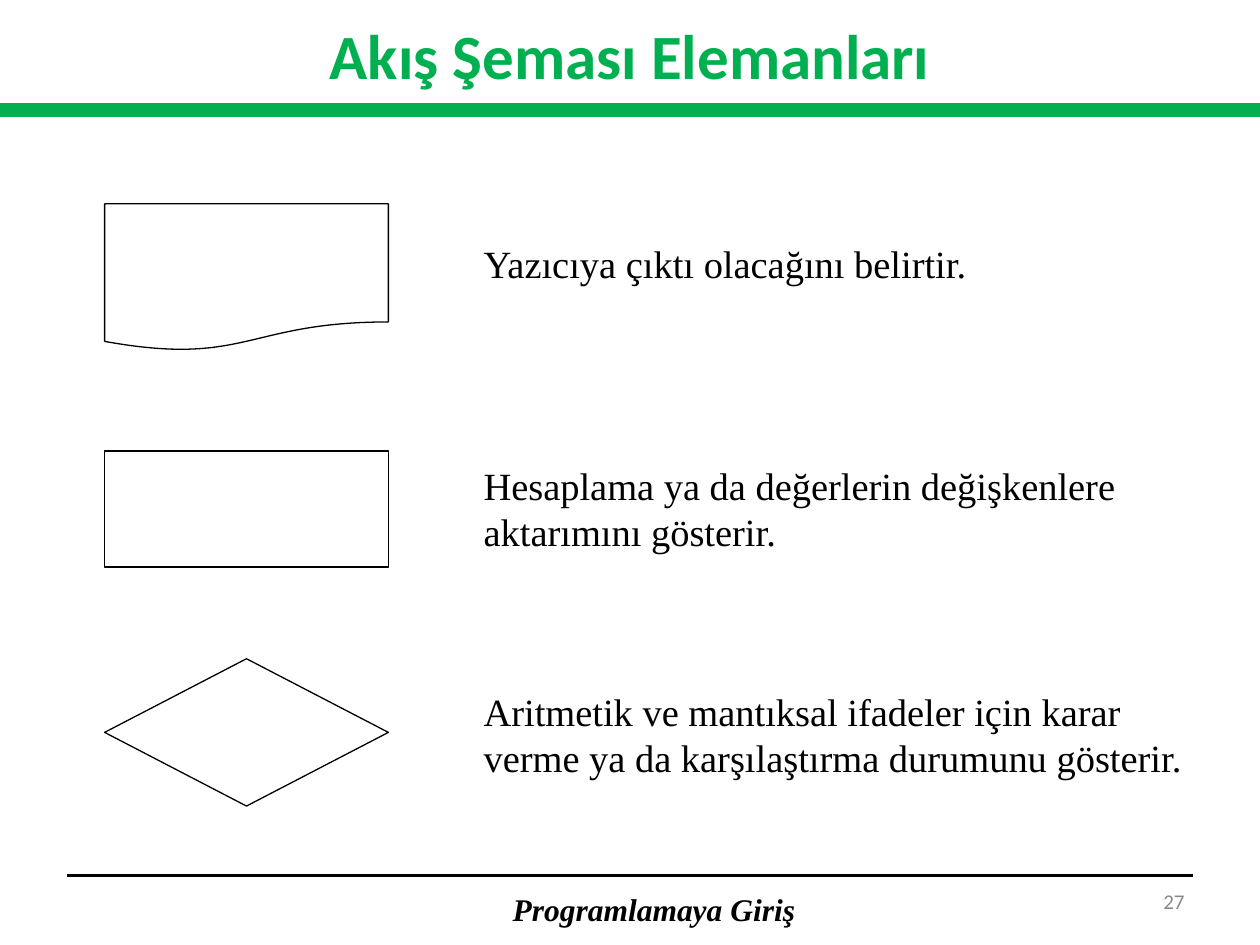
from lxml.etree import SubElement
from pptx import Presentation
from pptx.dml.color import RGBColor
from pptx.enum.shapes import MSO_CONNECTOR, MSO_SHAPE as Shape
from pptx.enum.text import MSO_ANCHOR as Anchor, MSO_AUTO_SIZE as AutoSize, PP_ALIGN as Align
from pptx.oxml.ns import qn
from pptx.util import Cm, Pt

GREEN = RGBColor(0x00, 0xB0, 0x50)
BLACK = RGBColor(0x00, 0x00, 0x00)
GRAY = RGBColor(0x89, 0x89, 0x89)
SERIF = "Times New Roman"
SANS = "Calibri"

SYMBOL_LEFT, SYMBOL_WIDTH = 2.11, 5.72
TEXT_LEFT = 9.5
ELEMENTS = [
    (Shape.FLOWCHART_DOCUMENT, 4.11, 2.97, "Yazıcıya çıktı olacağını belirtir.", 4.72, 14, 1.19),
    (Shape.FLOWCHART_PROCESS, 9.09, 2.34,
     "Hesaplama ya da değerlerin değişkenlere aktarımını gösterir.", 9.19, 14, 2.13),
    (Shape.FLOWCHART_DECISION, 13.28, 2.97,
     "Aritmetik ve mantıksal ifadeler için karar verme ya da karşılaştırma durumunu gösterir.",
     13.74, 15.21, 2.13),
]


def add_text(page, area, text, size, font=SERIF, color=BLACK, align=Align.LEFT,
             anchor=Anchor.MIDDLE, bold=False, italic=False):
    """Add a wrapping text box with one styled run and return it."""
    box = page.shapes.add_textbox(*map(Cm, area))
    frame = box.text_frame
    frame.word_wrap = True
    frame.vertical_anchor = anchor
    para = frame.paragraphs[0]
    para.alignment = align
    span = para.add_run()
    span.text = text
    span.font.name = font
    span.font.size = Pt(size)
    span.font.color.rgb = color
    span.font.bold = bold
    span.font.italic = italic
    return box


def add_symbol(page, kind, top, height):
    """Add an outlined flowchart symbol in the left column."""
    symbol = page.shapes.add_shape(kind, Cm(SYMBOL_LEFT), Cm(top), Cm(SYMBOL_WIDTH), Cm(height))
    symbol.shadow.inherit = False
    symbol.fill.background()
    symbol.line.color.rgb = BLACK
    symbol.line.width = Pt(0.75)


def add_element(page, kind, top, height, text, text_top, text_width, text_height):
    """Add a flowchart symbol and its explanation."""
    add_symbol(page, kind, top, height)
    box = add_text(page, (TEXT_LEFT, text_top, text_width, text_height), text, 22,
                   anchor=Anchor.TOP)
    box.text_frame.auto_size = AutoSize.SHAPE_TO_FIT_TEXT


def add_header(page):
    """Add the title and the green band below it."""
    band = page.shapes.add_shape(Shape.RECTANGLE, Cm(0), Cm(2.08), Cm(25.4), Cm(0.28))
    band.shadow.inherit = False
    band.fill.solid()
    band.fill.fore_color.rgb = GREEN
    band.line.fill.background()
    add_text(page, (0, 0.28, 25.4, 1.63), "Akış Şeması Elemanları", 36, SANS, GREEN,
             Align.CENTER, bold=True)


def add_footer(page):
    """Add the footer rule, course name and page number."""
    rule = page.shapes.add_connector(MSO_CONNECTOR.STRAIGHT, Cm(1.35), Cm(17.65), Cm(24.05), Cm(17.65))
    rule.line.color.rgb = BLACK
    rule.line.width = Pt(2)
    SubElement(rule.element.spPr, qn("a:effectLst"))
    add_text(page, (9.86, 17.81, 6.65, 1.02), "Programlamaya Giriş", 18,
             align=Align.CENTER, bold=True, italic=True)
    add_text(page, (21.82, 17.65, 2.31, 1.02), "27", 12, SANS, GRAY, Align.RIGHT)


def main():
    """Build the flowchart elements slide."""
    deck = Presentation()
    deck.slide_width, deck.slide_height = Cm(25.4), Cm(19.05)
    page = deck.slides.add_slide(deck.slide_layouts[6])
    add_footer(page)
    add_header(page)
    for element in ELEMENTS:
        add_element(page, *element)
    deck.save("out.pptx")


if __name__ == "__main__":
    main()
